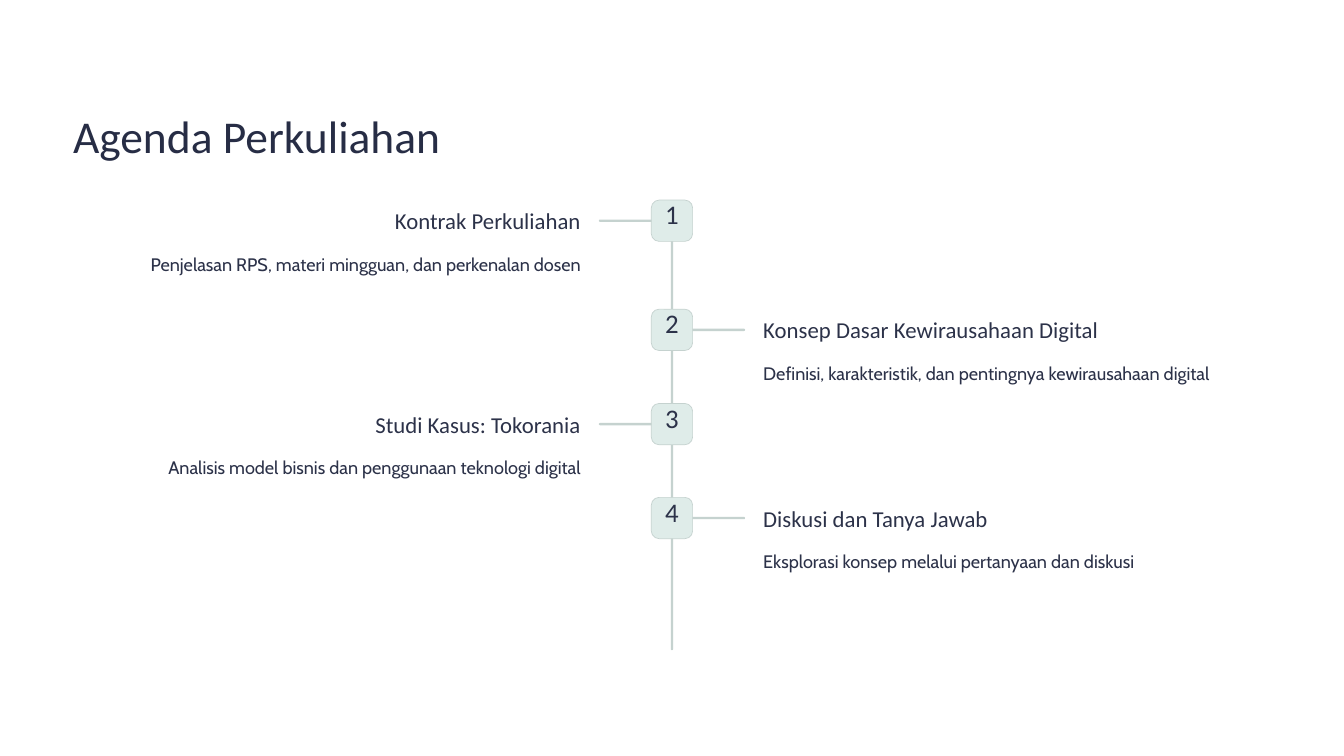
"""Build the lecture agenda slide: a vertical timeline with four alternating items."""
from dataclasses import dataclass

from pptx import Presentation
from pptx.dml.color import RGBColor
from pptx.enum.shapes import MSO_SHAPE
from pptx.enum.text import PP_ALIGN
from pptx.util import Cm, Pt

ROUNDED = MSO_SHAPE.ROUNDED_RECTANGLE
LEFT, CENTER, RIGHT = PP_ALIGN.LEFT, PP_ALIGN.CENTER, PP_ALIGN.RIGHT


@dataclass(frozen=True)
class Theme:
    background: str = "FFFFFF"
    title: str = "272D45"
    text: str = "2C3249"
    rail: str = "C5D2CF"
    tile: str = "DFECE9"
    heading_font: str = "Calibri"
    body_font: str = "Cabin"
    title_size: float = 39
    number_size: float = 23
    heading_size: float = 19.5
    body_size: float = 15.5


theme = Theme()


def add_text(text, *, x, y, w, h, size, spacing, font=theme.heading_font,
             color=theme.text, align=LEFT):
    tf = s.shapes.add_textbox(Cm(x), Cm(y), Cm(w), Cm(h)).text_frame
    tf.margin_left = tf.margin_right = tf.margin_top = tf.margin_bottom = 0
    tf.word_wrap = True
    p = tf.paragraphs[0]
    p.alignment = align
    p.line_spacing = Pt(spacing)
    r = p.add_run()
    r.text = text
    r.font.name = font
    r.font.size = Pt(size)
    r.font.color.rgb = RGBColor.from_string(color)


def add_block(x, y, w, h, *, fill, radius=0.5, line=None):
    sp = s.shapes.add_shape(ROUNDED, Cm(x), Cm(y), Cm(w), Cm(h))
    sp.adjustments[0] = radius
    sp.shadow.inherit = False
    sp.fill.solid()
    sp.fill.fore_color.rgb = RGBColor.from_string(fill)
    if line:
        sp.line.color.rgb = RGBColor.from_string(line)
        sp.line.width = Pt(0.6)
    else:
        sp.line.fill.background()


WIDTH, HEIGHT = 40.64, 22.86
MID = WIDTH / 2
TILE, RAIL = 1.25, 0.07
ARM, ARM_GAP = 1.65, 0.56
TEXT_GAP, BODY_WIDTH = 2.76, 15.37

prs = Presentation()
prs.slide_width, prs.slide_height = Cm(WIDTH), Cm(HEIGHT)
s = prs.slides.add_slide(prs.slide_layouts[6])
s.background.fill.solid()
s.background.fill.fore_color.rgb = RGBColor.from_string(theme.background)

add_text("Agenda Perkuliahan", x=2.21, y=3.2, w=13.8, h=1.73,
         size=theme.title_size, spacing=48.5, color=theme.title)
add_block(MID - RAIL / 2, 6.05, RAIL, 13.61, fill=theme.rail)

agenda = [
    (6.05, "Kontrak Perkuliahan", 6.88, 0.89,
     "Penjelasan RPS, materi mingguan, dan perkenalan dosen"),
    (9.35, "Konsep Dasar Kewirausahaan Digital", 10.92, 1.75,
     "Definisi, karakteristik, dan pentingnya kewirausahaan digital"),
    (12.2, "Studi Kasus: Tokorania", 6.96, 0.89,
     "Analisis model bisnis dan penggunaan teknologi digital"),
    (15.04, "Diskusi dan Tanya Jawab", 7.49, 0.89,
     "Eksplorasi konsep melalui pertanyaan dan diskusi"),
]

for number, (top, heading, heading_width, body_height, body) in enumerate(agenda, 1):
    on_left = number % 2 == 1
    align = RIGHT if on_left else LEFT
    arm_x = MID - ARM_GAP - ARM if on_left else MID + ARM_GAP
    heading_x = MID - TEXT_GAP - heading_width if on_left else MID + TEXT_GAP
    body_x = MID - TEXT_GAP - BODY_WIDTH if on_left else MID + TEXT_GAP

    add_block(arm_x, top + (TILE - RAIL) / 2, ARM, RAIL, fill=theme.rail)
    add_block(MID - TILE / 2, top, TILE, TILE, fill=theme.tile,
              radius=0.19, line=theme.rail)
    add_text(str(number), x=MID - 0.42, y=top + 0.1, w=0.84, h=1.04,
             size=theme.number_size, spacing=23, align=CENTER)
    add_text(heading, x=heading_x, y=top + 0.19, w=heading_width, h=0.86,
             size=theme.heading_size, spacing=24, align=align)
    add_text(body, x=body_x, y=top + 1.39, w=BODY_WIDTH, h=body_height,
             size=theme.body_size, spacing=25, font=theme.body_font, align=align)

prs.save("out.pptx")
